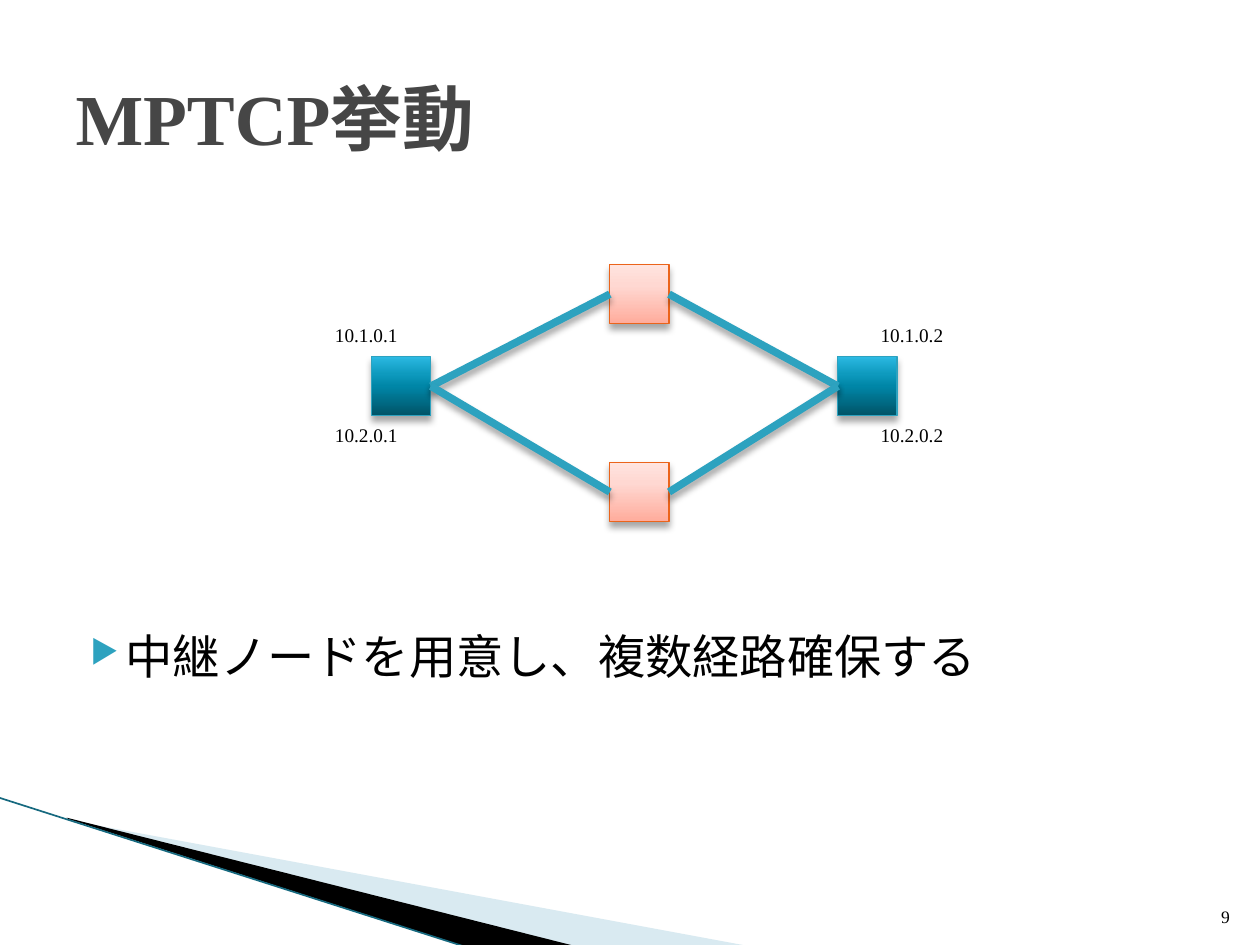
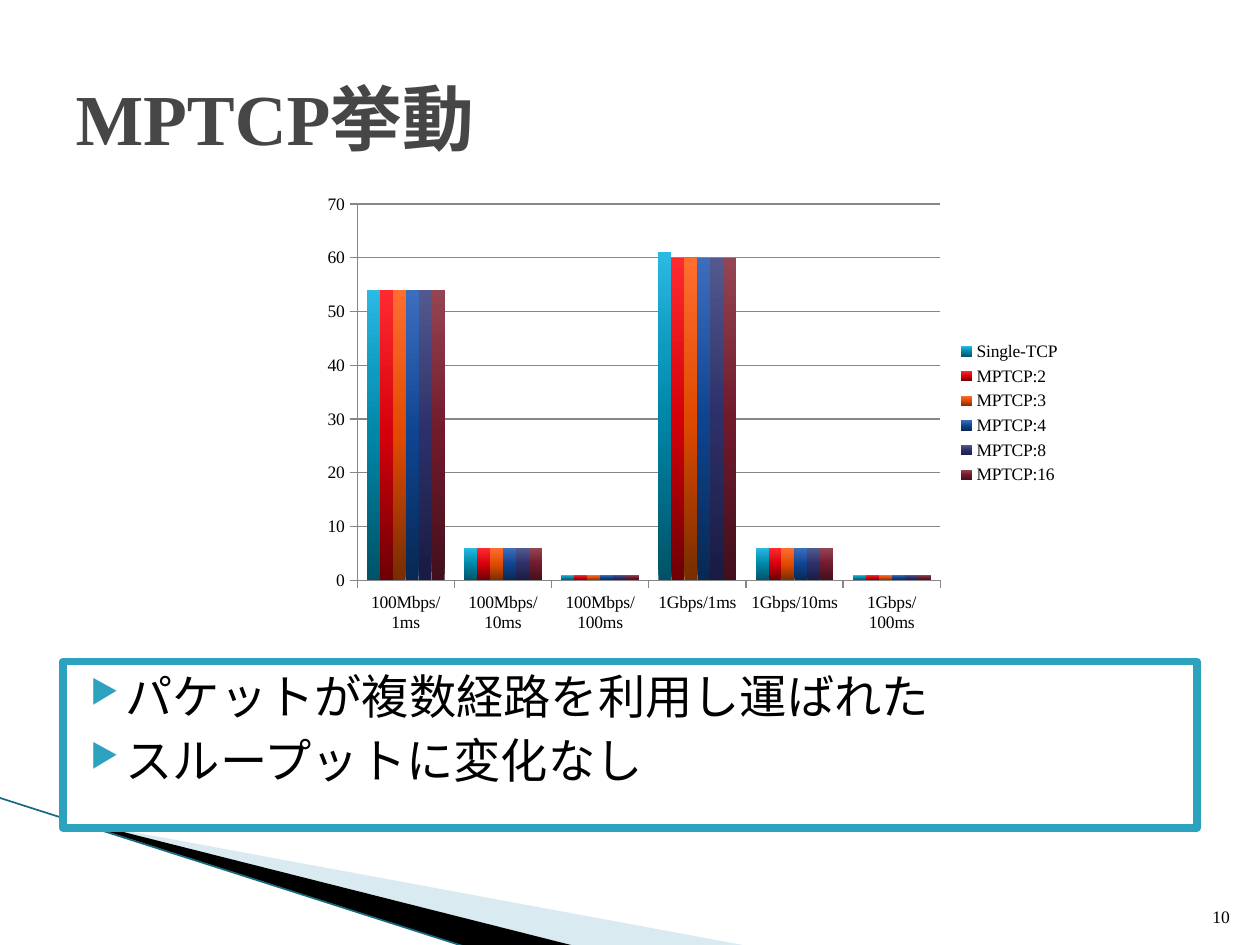
"""Build two slides on how MPTCP behaves: its paths and its throughput."""
from lxml import etree
from pptx import Presentation
from pptx.chart.data import CategoryChartData
from pptx.dml.color import RGBColor
from pptx.enum.chart import XL_CHART_TYPE, XL_LEGEND_POSITION, XL_TICK_MARK
from pptx.enum.shapes import MSO_CONNECTOR, MSO_SHAPE
from pptx.enum.text import MSO_ANCHOR, PP_ALIGN
from pptx.oxml.ns import qn
from pptx.util import Inches, Pt

COLUMN = XL_CHART_TYPE.COLUMN_CLUSTERED
KEY_RIGHT = XL_LEGEND_POSITION.RIGHT
OUT = XL_TICK_MARK.OUTSIDE
LINE = MSO_CONNECTOR.STRAIGHT
RECT = MSO_SHAPE.RECTANGLE
MIDDLE, BOTTOM, TOP = MSO_ANCHOR.MIDDLE, MSO_ANCHOR.BOTTOM, MSO_ANCHOR.TOP
LEFT, RIGHT = PP_ALIGN.LEFT, PP_ALIGN.RIGHT
RIGHT_SITE, LEFT_SITE = 3, 1

FACE = "Times New Roman"
COLORS = {"text": "000000", "title": "464646", "teal": "2DA2BF",
          "orange": "EB641B", "white": "FFFFFF", "pale": "A0CBDC",
          "edge": "16697F", "grid": "878787"}
FONTS = {
    "title": {"name": FACE, "size": Pt(41), "bold": True},
    "body": {"name": FACE, "size": Pt(27)},
    "label": {"name": FACE, "size": Pt(11)},
    "small": {"name": FACE, "size": Pt(10)},
}
TEAL_FADE = [(0, "005367"), (50, "0086A7"), (70, "0E9ABE"), (100, "2CB9E3")]
PINK_FADE = [(0, "FFAC9C"), (65, "FFD8D2"), (100, "FFE4DF")]

TITLE = "MPTCP挙動"
PAGES = [
    {"number": "9", "top": 4.93, "height": 1.64, "framed": False,
     "points": ["中継ノードを用意し、複数経路確保する"]},
    {"number": "10", "top": 5.25, "height": 1.32, "framed": True,
     "points": ["パケットが複数経路を利用し運ばれた",
                "スループットに変化なし"]},
]

NODE = 0.47
HOSTS = [(2.95, 2.83), (6.65, 2.83)]
RELAYS = [(4.84, 2.10), (4.84, 3.67)]
LABEL_LEFTS = {1: 2.56, 2: 6.89}
LABEL_TOPS = {1: 2.52, 2: 3.31}

RATES = ["100Mbps", "1Gbps"]
DELAYS = ["1ms", "10ms", "100ms"]
SERIES = [
    ("Single-TCP", [54, 6, 1, 61, 6, 1], TEAL_FADE),
    ("MPTCP:2", [54, 6, 1, 60, 6, 1],
     [(0, "6C0005"), (50, "D4000A"), (100, "FF2A30")]),
    ("MPTCP:3", [54, 6, 1, 60, 6, 1],
     [(0, "762D00"), (50, "E04A00"), (100, "FF6E30")]),
    ("MPTCP:4", [54, 6, 1, 60, 6, 1],
     [(0, "082852"), (50, "0F4490"), (100, "3D6EBE")]),
    ("MPTCP:8", [54, 6, 1, 60, 6, 1],
     [(0, "1A1B43"), (50, "2D3068"), (100, "53588F")]),
    ("MPTCP:16", [54, 6, 1, 60, 6, 1],
     [(0, "42101C"), (50, "701A2C"), (100, "944453")]),
]

WEDGES = [
    ("pale", 40, [(0.55, 6.51), (5.95, 7.51), (4.56, 7.51), (0.55, 6.5)]),
    ("text", 100, [(0.53, 6.49), (4.57, 7.51), (3.72, 7.52), (0.54, 6.5)]),
]
EDGE = (-0.01, 6.33, 3.71, 7.52)


def inches(*values):
    return [Inches(value) for value in values]


def rgb(key):
    return RGBColor.from_string(COLORS[key])


def style(font, kind, color="text"):
    for name, value in FONTS[kind].items():
        setattr(font, name, value)
    font.color.rgb = rgb(color)


def node(parent, tag, **attrs):
    return etree.SubElement(parent, qn(tag), attrs)


def stroke(line, color, width):
    line.color.rgb = rgb(color)
    line.width = Pt(width)


def fade(fill, root, stops):
    fill.gradient()
    fill.gradient_angle = 90
    chain = next(root.iter(qn("a:gsLst")))
    for stop in list(chain):
        chain.remove(stop)
    for place, color in stops:
        stop = node(chain, "a:gs", pos=str(place * 1000))
        node(stop, "a:srgbClr", val=color)


def shade(effects):
    drop = node(effects, "a:outerShdw", blurRad=str(Pt(4)), dist=str(Pt(3)),
                dir="5400000", algn="ctr", rotWithShape="0")
    color = node(drop, "a:srgbClr", val=COLORS["text"])
    node(color, "a:alpha", val="35000")


def write(slide, text, box, kind, wrap=True, anchor=TOP, align=LEFT):
    frame = slide.shapes.add_textbox(*inches(*box)).text_frame
    frame.word_wrap = wrap
    frame.vertical_anchor = anchor
    para = frame.paragraphs[0]
    para.text = text
    para.alignment = align
    style(para.font, kind)


def draw_base(slide):
    for color, alpha, points in WEDGES:
        start, *rest = [inches(*point) for point in points]
        path = slide.shapes.build_freeform(*start)
        path.add_line_segments(rest)
        wedge = path.convert_to_shape()
        wedge.shadow.inherit = False
        wedge.fill.solid()
        wedge.fill.fore_color.rgb = rgb(color)
        wedge.line.fill.background()
        if alpha < 100:
            tint = next(wedge.element.spPr.iter(qn("a:srgbClr")))
            node(tint, "a:alpha", val=str(alpha * 1000))
    edge = slide.shapes.add_connector(LINE, *inches(*EDGE))
    stroke(edge.line, "edge", 0.95)
    node(edge.element.spPr, "a:effectLst")


def draw_body(slide, page):
    box = slide.shapes.add_textbox(
        *inches(0.5, page["top"], 9, page["height"]))
    if page["framed"]:
        box.fill.solid()
        box.fill.fore_color.rgb = rgb("white")
        stroke(box.line, "teal", 4.33)
    frame = box.text_frame
    frame.word_wrap = True
    for rank, point in enumerate(page["points"]):
        para = frame.add_paragraph() if rank else frame.paragraphs[0]
        para.text = point
        if rank:
            para.space_before = Pt(4)
        props = para._p.get_or_add_pPr()
        props.set("marL", str(Inches(0.4)))
        props.set("indent", str(Inches(-0.28)))
        color = node(props, "a:buClr")
        node(color, "a:srgbClr", val=COLORS["teal"])
        node(props, "a:buSzPct", val="68000")
        node(props, "a:buChar", char="▶")
        style(para.font, "body")


def add_page(deck, page):
    slide = deck.slides.add_slide(deck.slide_layouts[5])
    draw_base(slide)
    title = slide.shapes.title
    title.left, title.top, title.width, title.height = inches(
        0.5, 0.3, 9, 1.25)
    title.text_frame.text = TITLE
    title.text_frame.vertical_anchor = MIDDLE
    para = title.text_frame.paragraphs[0]
    para.alignment = LEFT
    style(para.font, "title", "title")
    draw_body(slide, page)
    write(slide, page["number"], (9.46, 7.01, 0.4, 0.4), "small",
          wrap=False, anchor=BOTTOM, align=RIGHT)
    return slide


def add_node(slide, spot, stops, color):
    box = slide.shapes.add_shape(RECT, *inches(*spot, NODE, NODE))
    fade(box.fill, box.element.spPr, stops)
    stroke(box.line, color, 0.75)
    box.shadow.inherit = False
    shade(box.element.spPr.find(qn("a:effectLst")))
    return box


def add_link(slide, start, end):
    link = slide.shapes.add_connector(LINE, 0, 0, 0, 0)
    link.begin_connect(start, RIGHT_SITE)
    link.end_connect(end, LEFT_SITE)
    stroke(link.line, "teal", 4.33)
    shade(node(link.element.spPr, "a:effectLst"))


def draw_net(slide):
    source, target = [add_node(slide, spot, TEAL_FADE, "teal")
                      for spot in HOSTS]
    for end, left in LABEL_LEFTS.items():
        for net, top in LABEL_TOPS.items():
            write(slide, f"10.{net}.0.{end}", (left, top, 0.7, 0.29),
                  "label", wrap=False)
    relays = [add_node(slide, spot, PINK_FADE, "orange") for spot in RELAYS]
    for relay in relays:
        add_link(slide, source, relay)
        add_link(slide, relay, target)


def draw_chart(slide):
    data = CategoryChartData()
    data.categories = [f"{rate}/{delay}" for rate in RATES
                       for delay in DELAYS]
    for name, values, _ in SERIES:
        data.add_series(name, values)
    chart = slide.shapes.add_chart(
        COLUMN, *inches(2.48, 1.47, 6.04, 3.62), data).chart
    chart.has_title = False
    style(chart.font, "small")
    chart.has_legend = True
    chart.legend.position = KEY_RIGHT
    chart.legend.include_in_layout = False
    for axis in (chart.category_axis, chart.value_axis):
        axis.major_tick_mark = OUT
        stroke(axis.format.line, "grid", 0.75)
    scale = chart.value_axis
    scale.minimum_scale, scale.maximum_scale, scale.major_unit = 0, 70, 10
    scale.has_major_gridlines = True
    stroke(scale.major_gridlines.format.line, "grid", 0.75)
    plot = chart.plots[0]
    plot.vary_by_categories = False
    plot.gap_width = 150
    plot.overlap = 0
    for bars, (_, _, stops) in zip(plot.series, SERIES):
        fade(bars.format.fill, bars._element, stops)


def main():
    deck = Presentation()
    deck.slide_width, deck.slide_height = inches(10, 7.5)
    for page, draw in zip(PAGES, (draw_net, draw_chart)):
        draw(add_page(deck, page))
    deck.save("out.pptx")


if __name__ == "__main__":
    main()
